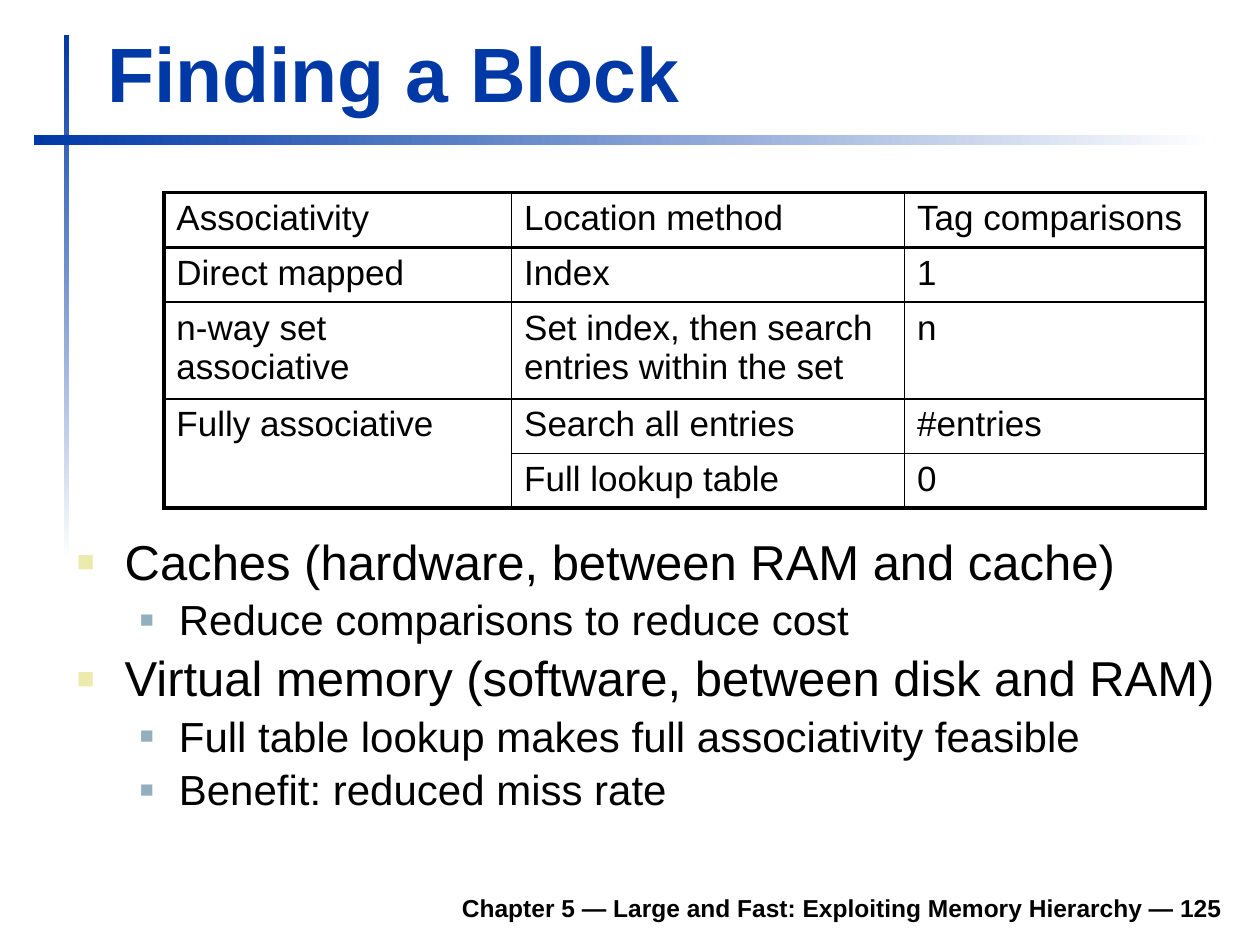
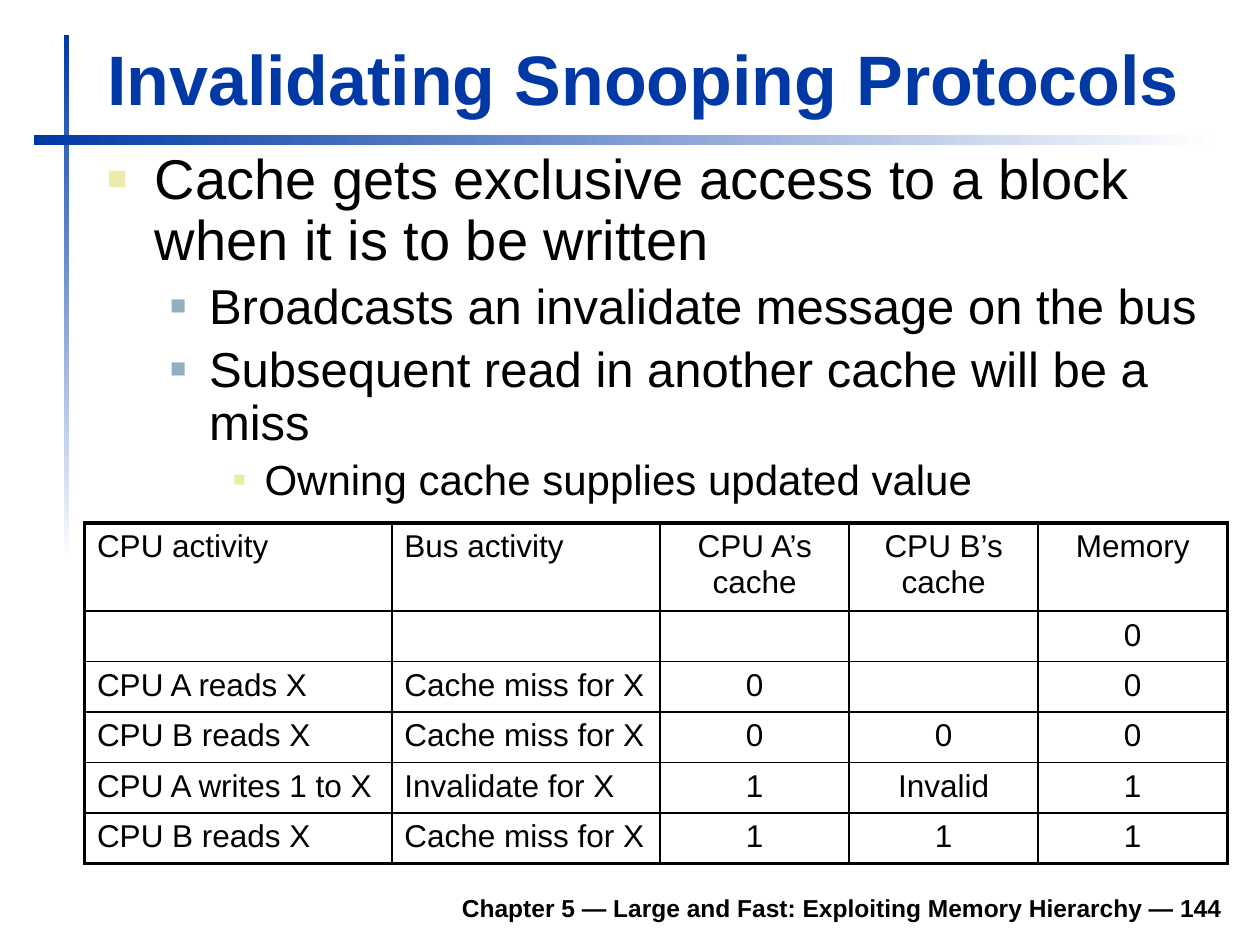
from lxml import etree
from pptx import Presentation
from pptx.dml.color import RGBColor
from pptx.enum.shapes import MSO_SHAPE
from pptx.enum.text import MSO_ANCHOR, MSO_AUTO_SIZE, PP_ALIGN
from pptx.oxml.ns import qn
from pptx.util import Inches, Pt

RECTANGLE = MSO_SHAPE.RECTANGLE
BOTTOM, TOP = MSO_ANCHOR.BOTTOM, MSO_ANCHOR.TOP
LEFT, CENTER, RIGHT = PP_ALIGN.LEFT, PP_ALIGN.CENTER, PP_ALIGN.RIGHT
NO_AUTOFIT = MSO_AUTO_SIZE.NONE

COLORS = {
    "ink": "000000",
    "paper": "FFFFFF",
    "blue": "0039A6",
    "sand": "ECEAAC",
    "steel": "91AFBF",
}
FONT = "Arial"
GRID_COLUMNS, GRID_ROWS = 100, 75
FOOTER = "Chapter 5 — Large and Fast: Exploiting Memory Hierarchy — {}"
# Text indent and hanging indent in inches, bullet colour, bullet size in percent
LEVELS = [
    (0.38, 0.38, "sand", 60),
    (0.81, 0.31, "steel", 55),
    (1.25, 0.25, "sand", 50),
]
OUTER_LINE, INNER_LINE = 2.25, 1


def rgb(name):
    return RGBColor.from_string(COLORS[name])


def set_values(target, values):
    for attribute, value in values.items():
        setattr(target, attribute, value)


class Deck:
    """Holds the shared style and the slide being built; lengths are grid units."""

    def __init__(self):
        self.presentation = Presentation()
        set_values(self.presentation, {"slide_width": Inches(10), "slide_height": Inches(7.5)})
        self.column = self.presentation.slide_width / GRID_COLUMNS
        self.row = self.presentation.slide_height / GRID_ROWS
        self.slide = None

    def box(self, left, top, width, height):
        return (round(left * self.column), round(top * self.row),
                round(width * self.column), round(height * self.row))

    def place(self, placeholder, area):
        set_values(placeholder, dict(zip(("left", "top", "width", "height"), self.box(*area))))

    def add_text(self, paragraph, text, size, color="ink", bold=False, align=LEFT):
        paragraph.alignment = align
        run = paragraph.add_run()
        run.text = text
        set_values(run.font, {"name": FONT, "size": Pt(size), "bold": bold})
        run.font.color.rgb = rgb(color)

    def new_slide(self, title, title_area, title_size, number):
        self.slide = self.presentation.slides.add_slide(self.presentation.slide_layouts[1])
        self.band((5.1, 2.8, 0.4, 41.7), 270)
        self.band((2.7, 10.7, 93.7, 0.8), 0)
        self.footer(number)
        heading = self.slide.shapes.title
        self.place(heading, title_area)
        set_values(heading.text_frame, {"word_wrap": True, "auto_size": NO_AUTOFIT,
                                        "vertical_anchor": BOTTOM})
        self.add_text(heading.text_frame.paragraphs[0], title, title_size, "blue", True)

    def band(self, area, angle):
        band = self.slide.shapes.add_shape(RECTANGLE, *self.box(*area))
        band.shadow.inherit = False
        band.line.fill.background()
        band.fill.gradient()
        band.fill.gradient_angle = angle
        for stop, color in zip(band.fill.gradient_stops, ("blue", "paper")):
            stop.color.rgb = rgb(color)

    def footer(self, number):
        frame = self.slide.shapes.add_textbox(*self.box(18.5, 69.8, 79.5, 3.9)).text_frame
        set_values(frame, {"word_wrap": True, "vertical_anchor": BOTTOM})
        self.add_text(frame.paragraphs[0], FOOTER.format(number), 14, bold=True, align=RIGHT)

    def bullets(self, area, sizes, items):
        """Fill the body with (level, text) items; sizes are given per level."""
        body = self.slide.placeholders[1]
        self.place(body, area)
        frame = body.text_frame
        set_values(frame, {"word_wrap": True, "auto_size": NO_AUTOFIT, "vertical_anchor": TOP})
        for index, (level, text) in enumerate(items):
            paragraph = frame.add_paragraph() if index else frame.paragraphs[0]
            self.bullet_mark(paragraph, level)
            space = 0.2 * sizes[level] if index else 0
            set_values(paragraph, {"level": level, "line_spacing": 0.9,
                                   "space_before": Pt(space)})
            self.add_text(paragraph, text, sizes[level])

    def bullet_mark(self, paragraph, level):
        indent, hanging, color, percent = LEVELS[level]
        properties = paragraph._p.get_or_add_pPr()
        properties.set("marL", str(Inches(indent)))
        properties.set("indent", str(-Inches(hanging)))
        bullet_color = etree.SubElement(properties, qn("a:buClr"))
        etree.SubElement(bullet_color, qn("a:srgbClr"), val=COLORS[color])
        etree.SubElement(properties, qn("a:buSzPct"), val=str(percent * 1000))
        etree.SubElement(properties, qn("a:buFont"), typeface=FONT)
        etree.SubElement(properties, qn("a:buChar"), char="■")

    def table(self, left, top, widths, heights, rows, size,
              header_line=INNER_LINE, centered_from=None, merge=None):
        """Draw a ruled table; merge is a pair of (row, column) corners."""
        area = self.box(left, top, sum(widths), sum(heights))
        table = self.slide.shapes.add_table(len(rows), len(widths), *area).table
        set_values(table, {"first_row": False, "horz_banding": False})
        for column, width in zip(table.columns, widths):
            column.width = round(width * self.column)
        for row, height in zip(table.rows, heights):
            row.height = round(height * self.row)
        if merge:
            table.cell(*merge[0]).merge(table.cell(*merge[1]))
        # Weights of the horizontal and vertical rules, from edge to edge
        across = [OUTER_LINE, header_line] + [INNER_LINE] * (len(rows) - 2) + [OUTER_LINE]
        down = [OUTER_LINE] + [INNER_LINE] * (len(widths) - 1) + [OUTER_LINE]
        for r, texts in enumerate(rows):
            for c, text in enumerate(texts):
                cell = table.cell(r, c)
                end = r + cell.span_height if cell.is_merge_origin else r + 1
                edges = {"lnL": down[c], "lnR": down[c + 1],
                         "lnT": across[r], "lnB": across[end]}
                if cell.is_spanned:
                    del edges["lnT"]
                self.rule(cell, edges)
                cell.fill.background()
                if text:
                    centered = centered_from is not None and c >= centered_from
                    self.add_text(cell.text_frame.paragraphs[0], text, size,
                                  align=CENTER if centered else LEFT)

    def rule(self, cell, edges):
        properties = cell._tc.get_or_add_tcPr()
        for edge, weight in edges.items():
            line = etree.SubElement(properties, qn(f"a:{edge}"), w=str(Pt(weight)))
            fill = etree.SubElement(line, qn("a:solidFill"))
            etree.SubElement(fill, qn("a:srgbClr"), val=COLORS["ink"])


def finding_a_block(deck):
    deck.new_slide("Finding a Block", (7.5, 1.6, 90.3, 8.3), 44, 125)
    deck.bullets((5.1, 42.2, 92.8, 26), (28, 24), [
        (0, "Caches (hardware, between RAM and cache)"),
        (1, "Reduce comparisons to reduce cost"),
        (0, "Virtual memory (software, between disk and RAM)"),
        (1, "Full table lookup makes full associativity feasible"),
        (1, "Benefit: reduced miss rate"),
    ])
    methods = [
        ("Associativity", "Location method", "Tag comparisons"),
        ("Direct mapped", "Index", "1"),
        ("n-way set associative", "Set index, then search entries within the set", "n"),
        ("Fully associative", "Search all entries", "#entries"),
        ("", "Full lookup table", "0"),
    ]
    deck.table(13, 15.3, (27.6, 31.2, 23.9), (4.1, 4.1, 7.2, 4.1, 4.1), methods, 20,
               header_line=1.5, merge=((3, 0), (4, 0)))


def invalidating_snooping(deck):
    deck.new_slide("Invalidating Snooping Protocols", (7.5, 2.3, 90.3, 7.7), 40, 144)
    deck.bullets((7.5, 11.5, 90.5, 29.2), (32, 28, 24), [
        (0, "Cache gets exclusive access to a block when it is to be written"),
        (1, "Broadcasts an invalidate message on the bus"),
        (1, "Subsequent read in another cache will be a miss"),
        (2, "Owning cache supplies updated value"),
    ])
    activity = [
        ("CPU activity", "Bus activity", "CPU A’s cache", "CPU B’s cache", "Memory"),
        ("", "", "", "", "0"),
        ("CPU A reads X", "Cache miss for X", "0", "", "0"),
        ("CPU B reads X", "Cache miss for X", "0", "0", "0"),
        ("CPU A writes 1 to X", "Invalidate for X", "1", "Invalid", "1"),
        ("CPU B reads X", "Cache miss for X", "1", "1", "1"),
    ]
    deck.table(6.7, 41.5, (24.4, 21.3, 15, 15, 15), [7] + [4] * 5, activity, 18,
               centered_from=2)


def main():
    deck = Deck()
    finding_a_block(deck)
    invalidating_snooping(deck)
    deck.presentation.save("out.pptx")


if __name__ == "__main__":
    main()
